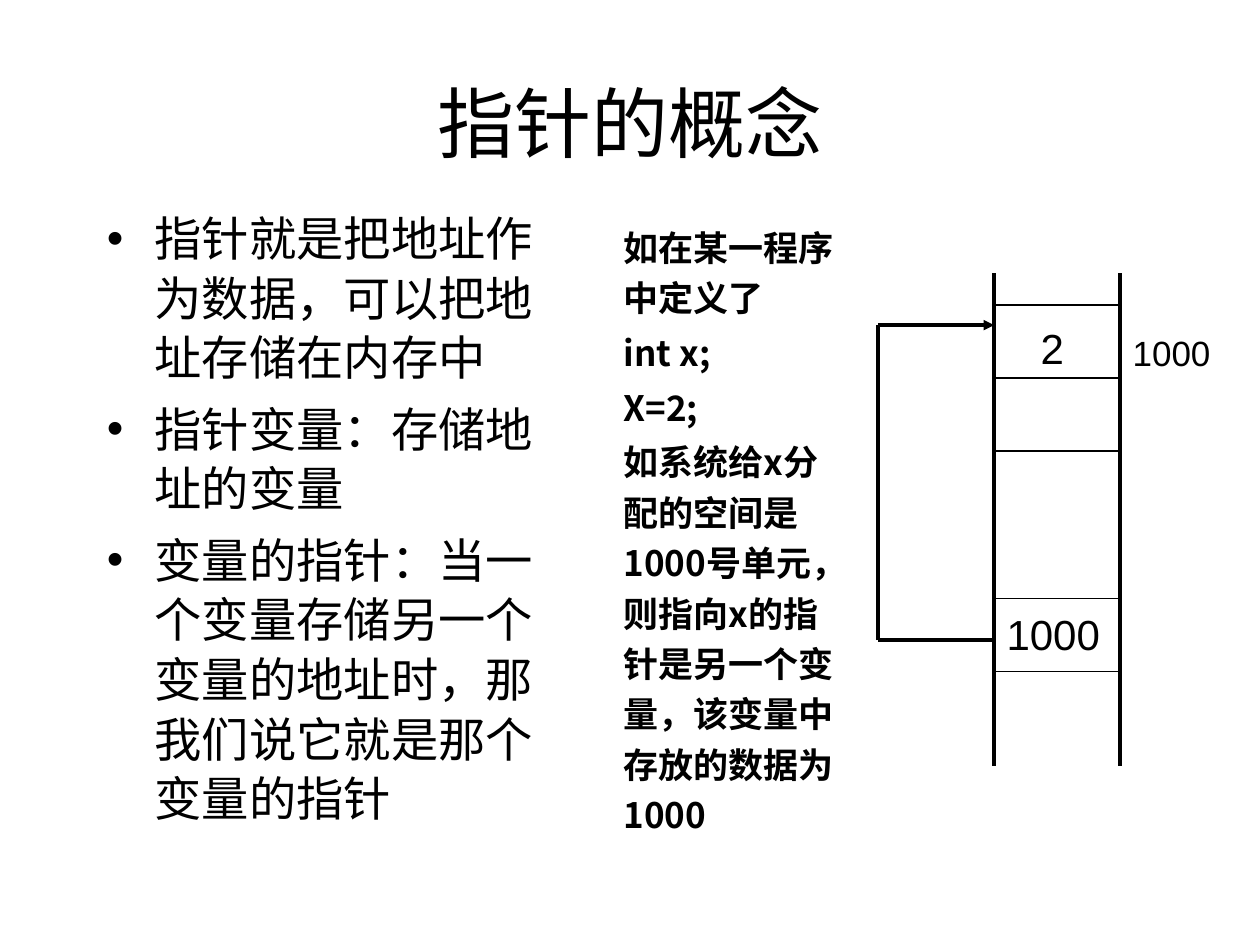
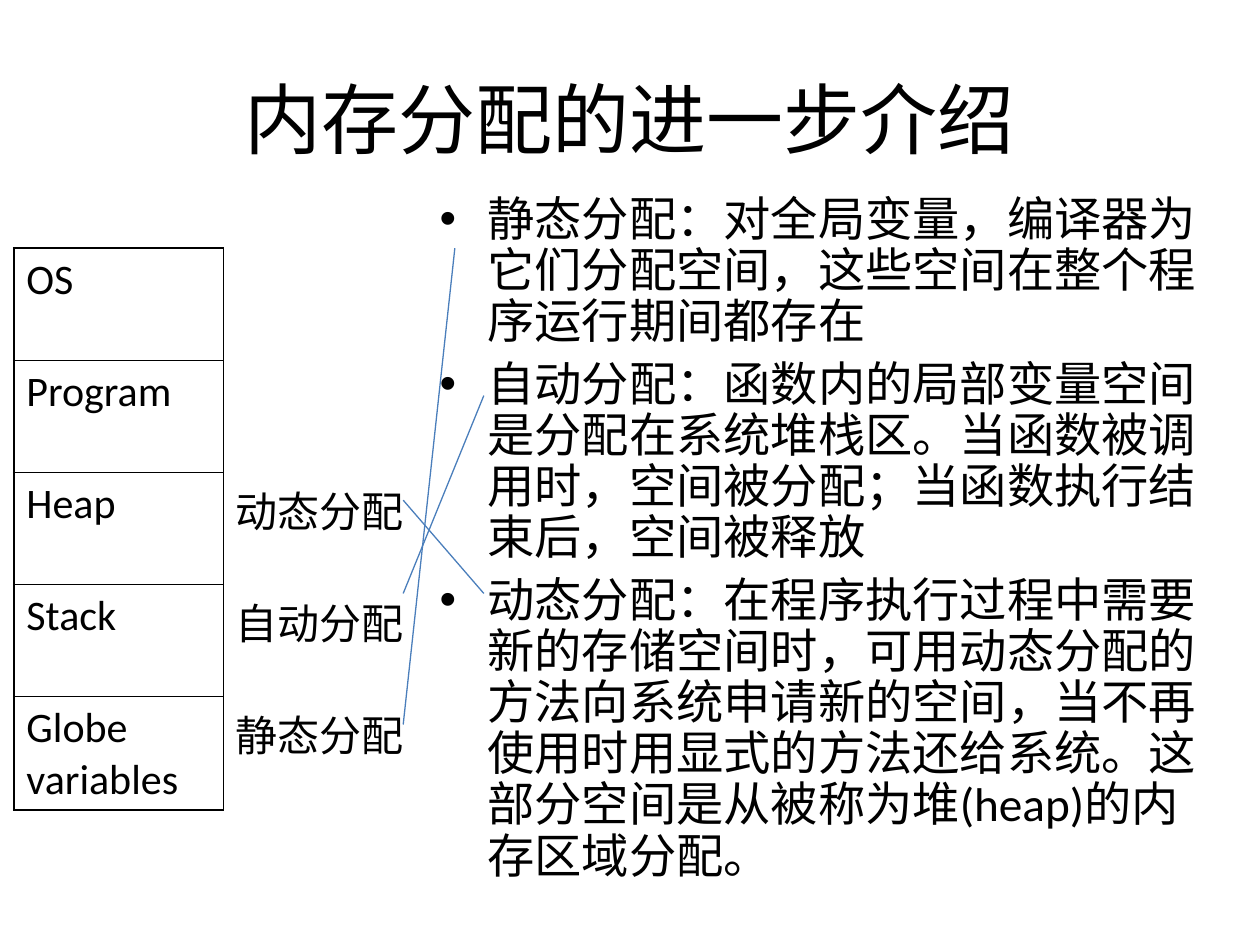
from dataclasses import dataclass
from itertools import pairwise
from lxml.etree import SubElement
from pptx import Presentation
from pptx.dml.color import RGBColor
from pptx.enum.shapes import MSO_CONNECTOR
from pptx.enum.text import MSO_ANCHOR, PP_ALIGN
from pptx.oxml.ns import qn
from pptx.util import Inches, Pt


@dataclass(frozen=True)
class Theme:
    ink: str = "000000"
    blue: str = "4A7EBB"
    latin: str = "Calibri"
    han: str = "Noto Sans CJK SC"
    digit: str = "Arial"
    title: int = 44
    body: int = 27
    cell: int = 24
    note: int = 20
    thick: float = 2
    thin: float = 0.75
    edge: float = 1.08
    inner: float = 0.45


theme = Theme()


def write(frame, lines, size, face, bold=False, lead=None, gap=0, bullet=False, align=PP_ALIGN.LEFT):
    frame.word_wrap = True
    for row, line in enumerate(lines):
        para = frame.paragraphs[0] if row == 0 else frame.add_paragraph()
        para.text = line
        para.alignment = align
        if lead:
            para.line_spacing = lead
        para.space_before = Pt(gap if row else 0)
        if bullet:
            props = para._p.get_or_add_pPr()
            props.set("marL", str(Inches(0.38)))
            props.set("indent", str(-Inches(0.38)))
            SubElement(props, qn("a:buFont"), typeface=theme.digit)
            SubElement(props, qn("a:buChar"), char="•")
        font = para.font
        font.size = Pt(size)
        font.bold = bold
        font.color.rgb = RGBColor.from_string(theme.ink)
        font.name = face
        SubElement(font._element, qn("a:ea"), typeface=theme.han)


def draw(slide, start, end, color, width):
    line = slide.shapes.add_connector(MSO_CONNECTOR.STRAIGHT, *map(Inches, start + end))
    line.line.color.rgb = RGBColor.from_string(color)
    line.line.width = Pt(width)
    SubElement(line._element.spPr, qn("a:effectLst"))
    return line


deck = Presentation()
deck.slide_width, deck.slide_height = Inches(10), Inches(7.5)

pages = [
    ("指针的概念", 0.34, (0.75, 1.59, 3.59, 5.08), theme.han, 1.05, [
        "指针就是把地址作为数据，可以把地址存储在内存中",
        "指针变量：存储地址的变量",
        "变量的指针：当一个变量存储另一个变量的地址时，那我们说它就是那个变量的指针",
    ]),
    ("内存分配的进一步介绍", 0.31, (3.39, 1.5, 6.26, 5.58), theme.latin, 0.9, [
        "静态分配：对全局变量，编译器为它们分配空间，这些空间在整个程序运行期间都存在",
        "自动分配：函数内的局部变量空间是分配在系统堆栈区。当函数被调用时，空间被分配；当函数执行结束后，空间被释放",
        "动态分配：在程序执行过程中需要新的存储空间时，可用动态分配的方法向系统申请新的空间，"
        "当不再使用时用显式的方法还给系统。这部分空间是从被称为堆(heap)的内存区域分配。",
    ]),
]
slides = []
for title, top, area, face, lead, points in pages:
    slide = deck.slides.add_slide(deck.slide_layouts[6])
    slides.append(slide)
    head = slide.shapes.add_textbox(*map(Inches, (0.75, top, 8.5, 1.25))).text_frame
    head.vertical_anchor = MSO_ANCHOR.MIDDLE
    write(head, [title], theme.title, theme.latin, align=PP_ALIGN.CENTER)
    body = slide.shapes.add_textbox(*map(Inches, area)).text_frame
    write(body, points, theme.body, face, lead=lead, gap=6.8, bullet=True)

first, second = slides

left, right = 7.89, 8.89
for x in (left, right):
    draw(first, (x, 2.17), (x, 6.08), theme.ink, theme.thick)
for y in (2.42, 3, 3.58, 4.75, 5.33):
    draw(first, (left, y), (right, y), theme.ink, theme.thin)
route = [(left, 5.08), (6.97, 5.08), (6.97, 2.58), (left, 2.58)]
for start, end in pairwise(route):
    arrow = draw(first, start, end, theme.ink, theme.thick)
SubElement(arrow.line._get_or_add_ln(), qn("a:tailEnd"), type="triangle")

labels = [
    ("1000", (left, 4.78, 1, 0.5), theme.cell, 0.1),
    ("2", (left, 2.51, 1, 0.5), theme.cell, 0.37),
    ("1000", (right, 2.58, 0.91, 0.44), theme.note, 0.1),
]
for label, area, size, inset in labels:
    frame = first.shapes.add_textbox(*map(Inches, area)).text_frame
    frame.margin_left = Inches(inset)
    write(frame, [label], size, theme.digit)

story = [
    "如在某一程序中定义了",
    "int x;",
    "X=2;",
    "如系统给x分配的空间是1000号单元，则指向x的指针是另一个变量，该变量中存放的数据为1000",
]
frame = first.shapes.add_textbox(*map(Inches, (4.85, 1.68, 1.93, 5.01))).text_frame
write(frame, story, theme.note, theme.han, bold=True, lead=1.2, gap=2.5)

zones = [
    ("OS", ""),
    ("Program", ""),
    ("Heap", "动态分配"),
    ("Stack", "自动分配"),
    ("Globe variables", "静态分配"),
]
last = len(zones) - 1
table = second.shapes.add_table(len(zones), 2, *map(Inches, (0.11, 1.97, 3.28, 4.46))).table
table.first_row = table.horz_banding = False
for col, width in zip(table.columns, (1.66, 1.62)):
    col.width = Inches(width)
for row, zone in enumerate(zones):
    table.rows[row].height = Inches(0.9 if row == last else 0.89)
    for col, text in enumerate(zone):
        cell = table.cell(row, col)
        if text:
            write(cell.text_frame, [text], theme.cell, theme.latin)
        sides = {"L": theme.inner}
        if col == 0:
            sides = {
                "L": theme.edge,
                "R": theme.inner,
                "T": theme.edge if row == 0 else theme.inner,
                "B": theme.edge if row == last else theme.inner,
            }
        props = cell._tc.get_or_add_tcPr()
        for side in "LRTB":
            border = SubElement(props, qn("a:ln" + side), w=str(Pt(sides.get(side, 0))))
            if side in sides:
                fill = SubElement(border, qn("a:solidFill"))
                SubElement(fill, qn("a:srgbClr"), val=theme.ink)
            else:
                SubElement(border, qn("a:noFill"))
        cell.fill.background()
table.cell(0, 1).merge(table.cell(1, 1))

links = [
    ((3.61, 1.97), (3.2, 5.75)),
    ((3.2, 4.71), (3.84, 3.14)),
    ((3.2, 3.97), (3.84, 4.71)),
]
for start, end in links:
    draw(second, start, end, theme.blue, theme.thin)

deck.save("out.pptx")
